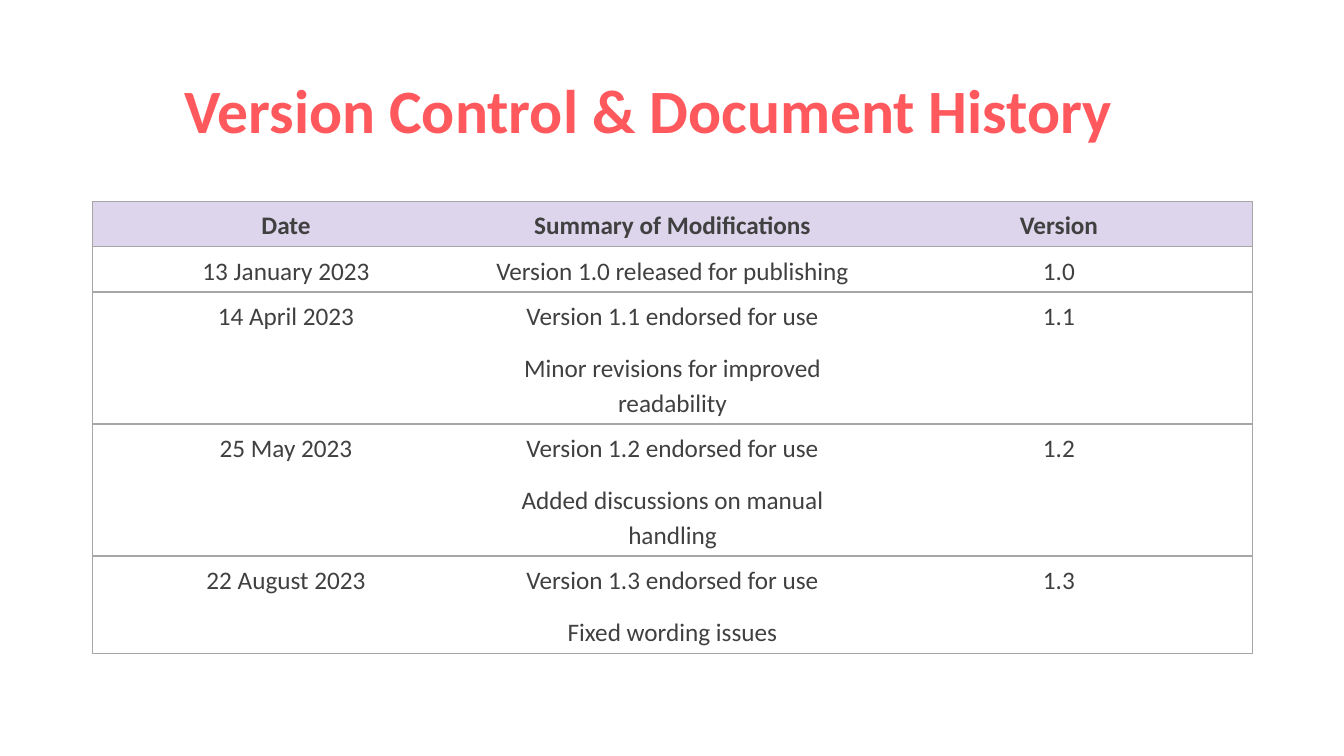
"""Build a slide with a version control and document history table."""
from lxml.etree import SubElement
from pptx import Presentation
from pptx.dml.color import RGBColor
from pptx.enum.text import MSO_ANCHOR, PP_ALIGN
from pptx.oxml.ns import qn
from pptx.util import Inches, Pt

BORDER_COLOR = "A6A6A6"
HISTORY = [
    ("Date", "Summary of Modifications", "Version"),
    ("13 January 2023", "Version 1.0 released for publishing", "1.0"),
    ("14 April 2023", "Version 1.1 endorsed for use\nMinor revisions for improved readability", "1.1"),
    ("25 May 2023", "Version 1.2 endorsed for use\nAdded discussions on manual handling", "1.2"),
    ("22 August 2023", "Version 1.3 endorsed for use\nFixed wording issues", "1.3"),
]


def format_paragraph(paragraph, size, color, bold, line_spacing):
    paragraph.alignment = PP_ALIGN.CENTER
    paragraph.line_spacing = line_spacing
    for run in paragraph.runs:
        run.font.name = "Calibri"
        run.font.size = Pt(size)
        run.font.bold = bold
        run.font.color.rgb = RGBColor.from_string(color)


def add_border(cell, side, visible):
    line = SubElement(cell._tc.get_or_add_tcPr(), qn(f"a:ln{side}"), w=str(Pt(1)))
    if visible:
        fill = SubElement(line, qn("a:solidFill"))
        SubElement(fill, qn("a:srgbClr"), val=BORDER_COLOR)
    else:
        SubElement(line, qn("a:noFill"))


presentation = Presentation()
presentation.slide_width = Inches(13.33)
presentation.slide_height = Inches(7.5)
slide = presentation.slides.add_slide(presentation.slide_layouts[5])

title = slide.shapes.title
title.left, title.top = Inches(0.92), Inches(0.4)
title.width, title.height = Inches(11.03), Inches(1.45)
title.text_frame.text = "Version Control & Document History"
title.text_frame.vertical_anchor = MSO_ANCHOR.MIDDLE
format_paragraph(title.text_frame.paragraphs[0], 44, "FF595E", True, 0.9)

table_shape = slide.shapes.add_table(
    len(HISTORY), 3, Inches(0.92), Inches(2), Inches(11.5), Inches(4.32)
)
table = table_shape.table
table.horz_banding = False
for row in table.rows:
    row.height = Inches(0.39)
table_shape.height = Inches(4.32)

for row_index, entries in enumerate(HISTORY):
    is_header = row_index == 0
    for column_index, text in enumerate(entries):
        cell = table.cell(row_index, column_index)
        add_border(cell, "L", column_index == 0)
        add_border(cell, "R", column_index == 2)
        add_border(cell, "T", True)
        add_border(cell, "B", True)
        if is_header:
            cell.fill.solid()
            cell.fill.fore_color.rgb = RGBColor.from_string("DDD5EB")
        else:
            cell.fill.background()
        cell.text_frame.text = text
        for paragraph_index, paragraph in enumerate(cell.text_frame.paragraphs):
            format_paragraph(paragraph, 18, "404040", is_header, 1.14)
            paragraph.space_before = Pt(6 if paragraph_index else 0)
            paragraph.space_after = Pt(6)

presentation.save("out.pptx")
